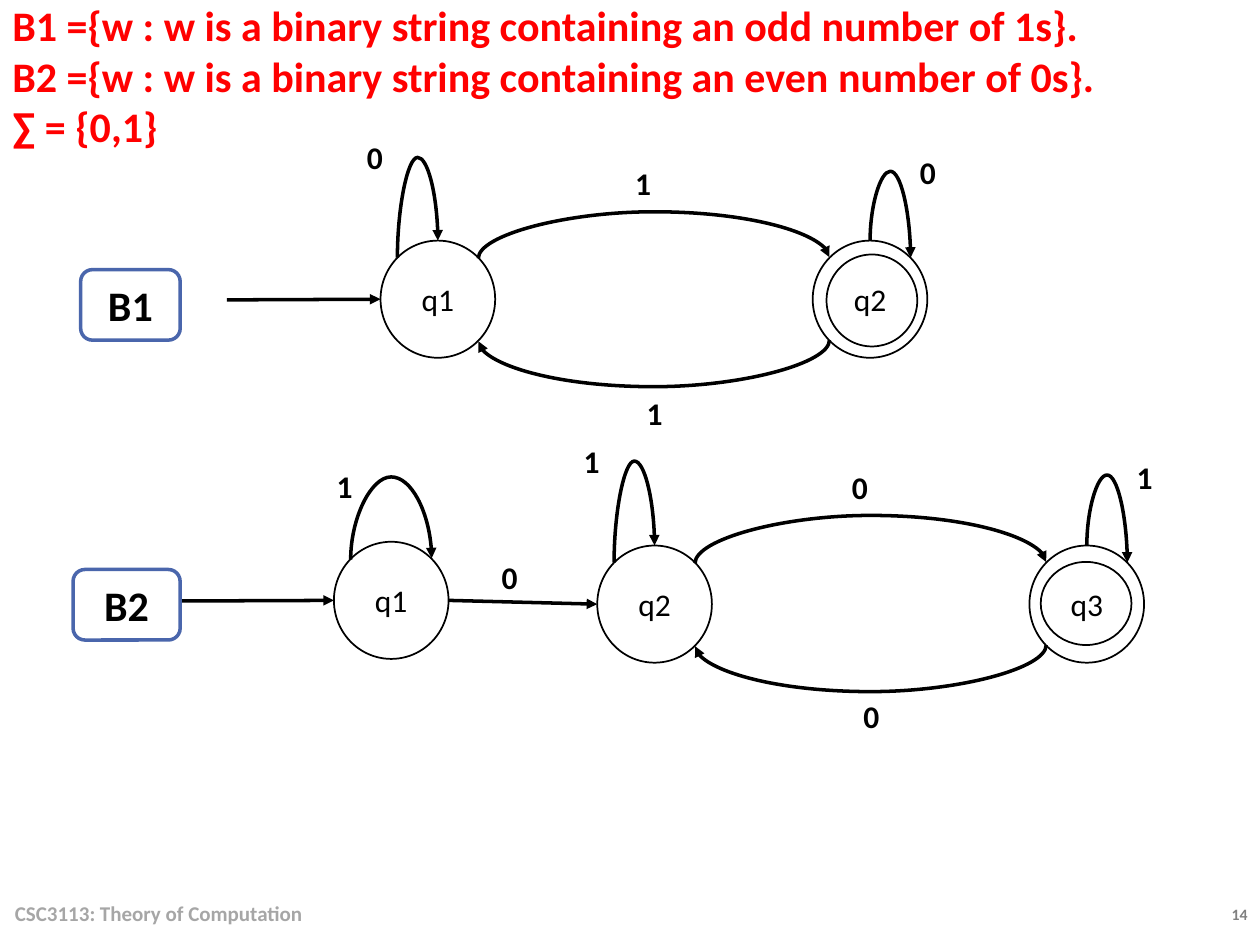
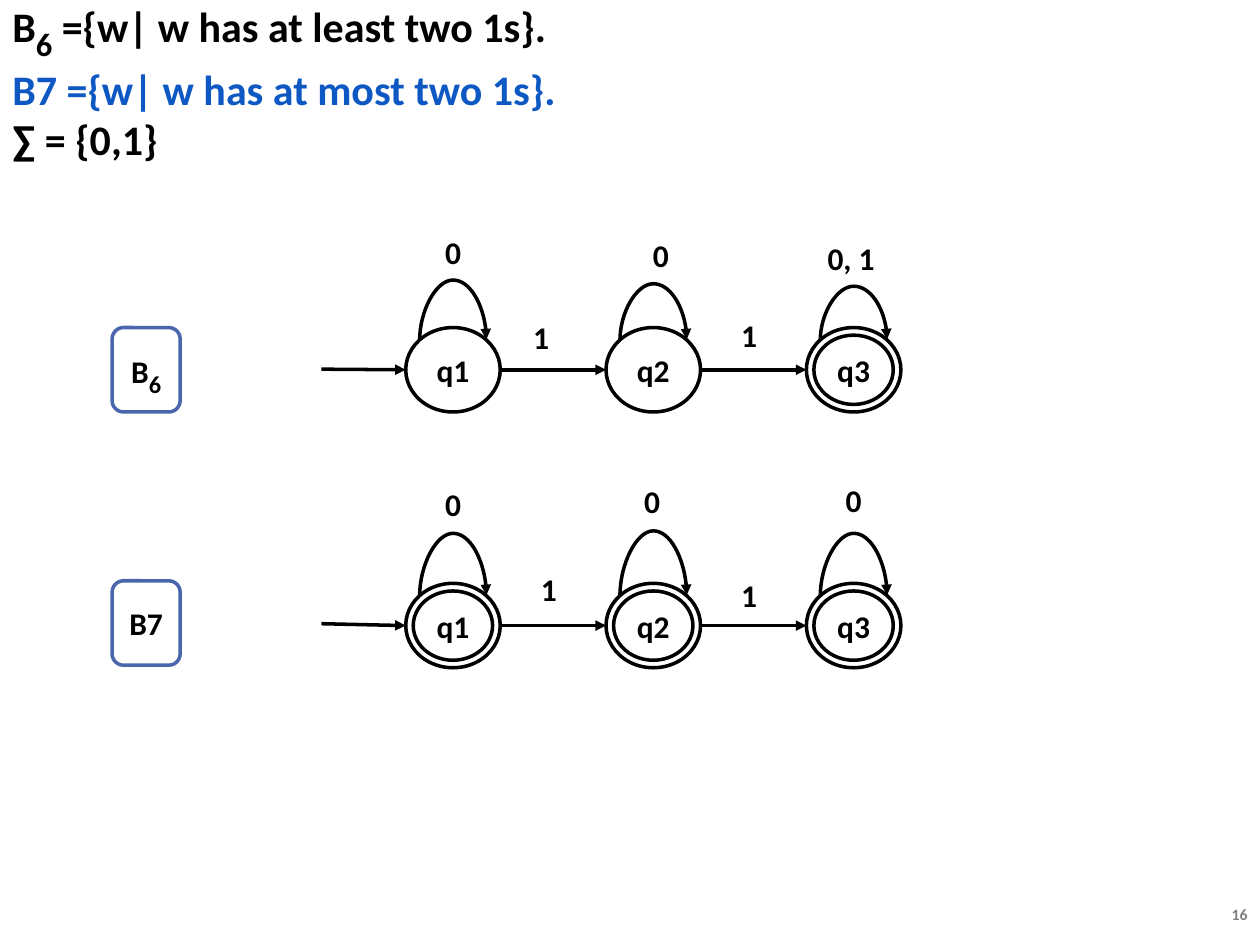
"""Build two slides of finite automata with their state diagrams."""
from math import cos, radians, sin

from lxml import etree
from pptx import Presentation
from pptx.dml.color import RGBColor
from pptx.enum.shapes import MSO_CONNECTOR as Link, MSO_SHAPE as Preset
from pptx.enum.text import MSO_ANCHOR as Anchor, PP_ALIGN as Align
from pptx.oxml.ns import qn
from pptx.util import Inches, Pt

COLORS = {
    "ink": "000000",
    "paper": "FFFFFF",
    "red": "FF0000",
    "blue": "0E58C4",
    "frame": "4A66AC",
    "footer": "A6A6A6",
    "number": "808080",
}
FONT = "Calibri"
TOP, TOP_LEFT, LEFT, BOTTOM_LEFT, BOTTOM, BOTTOM_RIGHT, RIGHT, TOP_RIGHT = range(8)


def color(name):
    return RGBColor.from_string(COLORS[name])


def write_span(para, text, size=18, ink="ink", bold=True, baseline=None):
    span = para.add_run()
    span.text = text
    font = span.font
    font.name, font.size, font.bold = FONT, Pt(size), bold
    font.color.rgb = color(ink)
    if baseline is not None:
        span._r.get_or_add_rPr().set("baseline", str(baseline * 1000))


def site_point(end):
    """Return the place of an ellipse's connection site, or the plain point."""
    first, second = end
    if not hasattr(first, "shape_id"):
        return Inches(first), Inches(second)
    angle = radians(90 + 45 * second)
    half_width, half_height = first.width / 2, first.height / 2
    return (round(first.left + half_width * (1 + cos(angle))),
            round(first.top + half_height * (1 - sin(angle))))


class Automata:
    """Hold the deck's style and the current slide."""

    def __init__(self):
        self.deck = Presentation()
        self.deck.slide_width, self.deck.slide_height = Inches(10), Inches(7.5)
        self.page = None

    def add_page(self, number, title):
        self.page = self.deck.slides.add_slide(self.deck.slide_layouts[6])
        self.text((8.73, 7.13, 1.27, 0.25), [[(number, dict(size=9, ink="number"))]], Align.RIGHT)
        self.text((0, 0, 9.1, 1.2), title)

    def fill_text(self, box, lines, align):
        frame = box.text_frame
        frame.word_wrap = True
        frame.vertical_anchor = Anchor.MIDDLE
        for index, line in enumerate(lines):
            para = frame.add_paragraph() if index else frame.paragraphs[0]
            para.alignment = align
            for text, style in line:
                write_span(para, text, **style)

    def text(self, place, lines, align=Align.LEFT):
        box = self.page.shapes.add_textbox(*map(Inches, place))
        self.fill_text(box, lines, align)

    def shape(self, preset, place, spans=(), fill=None, line="ink", weight=2):
        box = self.page.shapes.add_shape(preset, *map(Inches, place))
        box.shadow.inherit = False
        if fill:
            box.fill.solid()
            box.fill.fore_color.rgb = color(fill)
        else:
            box.fill.background()
        box.line.color.rgb = color(line)
        box.line.width = Pt(weight)
        if spans:
            self.fill_text(box, [spans], Align.CENTER)
        return box

    def label(self, text, left, top):
        self.shape(Preset.ROUNDED_RECTANGLE, (left, top, 0.65, 0.41), [(text, {})],
                   fill="paper", line="paper")

    def caption(self, text, left, top):
        self.text((left, top, 0.65, 0.45), [[(text, {})]], Align.CENTER)

    def name_box(self, place, spans):
        self.shape(Preset.ROUNDED_RECTANGLE, place, spans, fill="paper", line="frame")

    def state(self, name, place, inner=None, bold=False, fill=None, weight=1):
        ring = self.shape(Preset.OVAL, place, [(name, dict(bold=bold))], fill, weight=weight)
        if inner:
            self.shape(Preset.OVAL, inner, weight=weight)
        return ring

    def arrow(self, start, end, peak=None):
        """Join two ends, straight or bowed to the height of the peak."""
        (x1, y1), (x2, y2) = site_point(start), site_point(end)
        kind = Link.STRAIGHT if peak is None else Link.CURVE
        arrow = self.page.shapes.add_connector(kind, x1, y1, x2, y2)
        arrow.line.color.rgb = color("ink")
        arrow.line.width = Pt(2)
        properties = arrow._element.spPr
        etree.SubElement(arrow.line._get_or_add_ln(), qn("a:tailEnd"), type="triangle")
        etree.SubElement(properties, qn("a:effectLst"))
        holder = arrow._element.find(".//" + qn("p:cNvCxnSpPr"))
        for tag, (target, site) in (("a:stCxn", start), ("a:endCxn", end)):
            if hasattr(target, "shape_id"):
                etree.SubElement(holder, qn(tag), id=str(target.shape_id), idx=str(site))
        if peak is not None:
            self.bow(arrow, x1, y1, x2, y2, Inches(peak))

    def bow(self, arrow, x1, y1, x2, y2, peak):
        rise = y2 - y1
        if abs(rise) < Inches(0.01):
            rise = Inches(0.01) if x2 < x1 else -Inches(0.01)
        width, height = abs(rise), abs(x2 - x1)
        arrow.left = round((x1 + x2 - width) / 2)
        arrow.top = round((y1 + y2 - height) / 2)
        arrow.width, arrow.height = width, height
        rightward, downward = x2 > x1, rise > 0
        turn = 270 if rightward and downward else 90
        frame = arrow._element.spPr.find(qn("a:xfrm"))
        frame.set("rot", str(turn * 60000))
        frame.set("flipH", str(int(rightward)))
        frame.set("flipV", str(int(rightward and not downward)))
        guides = arrow._element.spPr.find(qn("a:prstGeom")).get_or_add_avLst()
        bend = round((peak - y1) / rise * 100000)
        etree.SubElement(guides, qn("a:gd"), name="adj1", fmla=f"val {bend}")

    def swap_pair(self, first, second, upper, lower):
        """Draw the arcs and loops shared by two states that lead to each other."""
        self.arrow((first, TOP_RIGHT), (second, TOP_LEFT), upper)
        self.arrow((second, BOTTOM_LEFT), (first, BOTTOM_RIGHT), lower)
        self.arrow((first, TOP_LEFT), (first, TOP), upper - 0.42)
        self.arrow((second, TOP), (second, TOP_RIGHT), upper - 0.31)


def build_parity_page(show):
    red = dict(size=24, ink="red")
    show.add_page("14", [[(line, red)] for line in (
        "B1 ={w : w is a binary string containing an odd number of 1s}.",
        "B2 ={w : w is a binary string containing an even number of 0s}.",
        "∑ = {0,1}")])
    show.text((0.02, 7.05, 6.7, 0.4),
              [[("CSC3113: Theory of Computation", dict(size=12, ink="footer"))]])
    for text, left, top in (
            ("0", 2.65, 1.04), ("1", 4.87, 3.07), ("0", 7.04, 1.16), ("1", 4.78, 1.25),
            ("1", 2.41, 3.65), ("0", 3.72, 4.37), ("1", 4.37, 3.45), ("0", 6.59, 5.48),
            ("1", 8.76, 3.58), ("0", 6.5, 3.66)):
        show.label(text, left, top)

    size = (0.91, 0.93)
    odd_start = show.state("q1", (3.02, 1.91, *size))
    odd_end = show.state("q2", (6.45, 1.91, *size), (6.56, 2.02, 0.72, 0.73))
    show.arrow((1.8, 2.38), (odd_start, LEFT))
    show.swap_pair(odd_start, odd_end, 1.67, 3.08)

    even_start = show.state("q1", (2.65, 4.3, *size))
    even_middle = show.state("q2", (4.74, 4.33, *size))
    even_end = show.state("q3", (8.17, 4.33, *size), (8.26, 4.46, 0.72, 0.66))
    show.arrow((1.44, 4.77), (even_start, LEFT))
    show.arrow((even_start, RIGHT), (even_middle, LEFT))
    show.arrow((even_start, TOP_LEFT), (even_start, TOP_RIGHT), 3.77)
    show.swap_pair(even_middle, even_end, 4.08, 5.5)

    show.name_box((0.64, 2.14, 0.79, 0.56), [("B1", dict(size=24))])
    show.name_box((0.58, 4.52, 0.85, 0.56), [("B2", dict(size=24))])


def build_counting_page(show):
    large = dict(size=24)
    show.add_page("16", [
        [("B", large), ("6", dict(size=32, baseline=-25)),
         (" ={w| w has at least two 1s}.", dict(size=24, baseline=0))],
        [("B7 ={w| w has at most two 1s}.", dict(size=24, ink="blue"))],
        [("∑ = {0,1}", large)]])
    show.name_box((0.89, 2.6, 0.54, 0.67), [("B", {}), ("6", dict(size=24, baseline=-25))])
    show.name_box((0.89, 4.61, 0.54, 0.67), [("B7", {})])

    for top, entry, accepting, peaks in (
            (2.6, 2.93, ("q3",), (2.21, 2.24, 2.26)),
            (4.63, 4.95, ("q1", "q2", "q3"), (4.22, 4.2, 4.22))):
        source = (2.55, entry)
        for index, peak in enumerate(peaks):
            name, left = f"q{index + 1}", 3.22 + 1.59 * index
            inner = (left + 0.06, top + 0.06, 0.63, 0.55) if name in accepting else None
            ring = show.state(name, (left, top, 0.75, 0.67), inner,
                              bold=True, fill="paper", weight=2)
            show.arrow(source, (ring, LEFT))
            show.arrow((ring, TOP_LEFT), (ring, TOP_RIGHT), peak)
            source = (ring, RIGHT)

    for text, left, top in (
            ("0", 3.27, 1.77), ("1", 3.97, 2.45), ("0", 4.92, 1.8), ("1", 5.62, 2.43),
            ("0, 1", 6.43, 1.82), ("0", 3.27, 3.77), ("1", 4.03, 4.45), ("0", 4.85, 3.75),
            ("1", 5.62, 4.5), ("0", 6.45, 3.74)):
        show.caption(text, left, top)


def main():
    show = Automata()
    build_parity_page(show)
    build_counting_page(show)
    show.deck.save("out.pptx")


if __name__ == "__main__":
    main()
